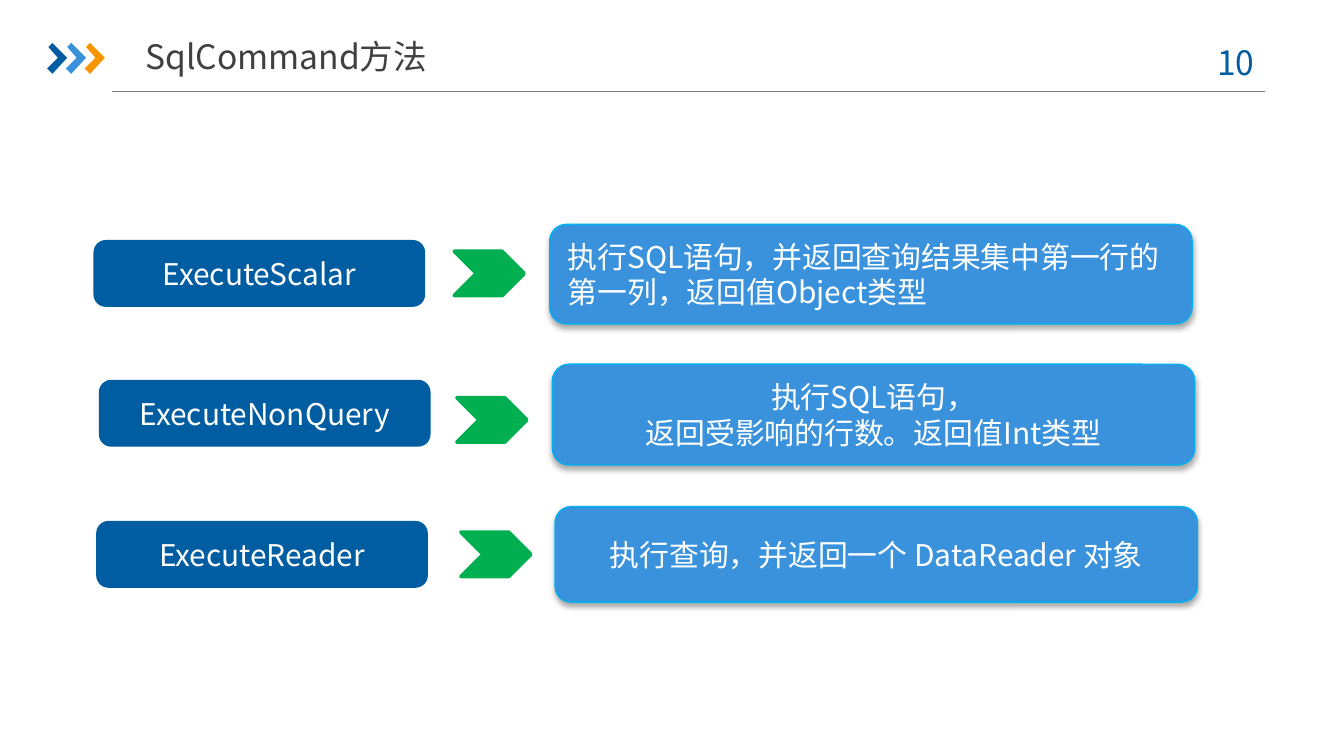
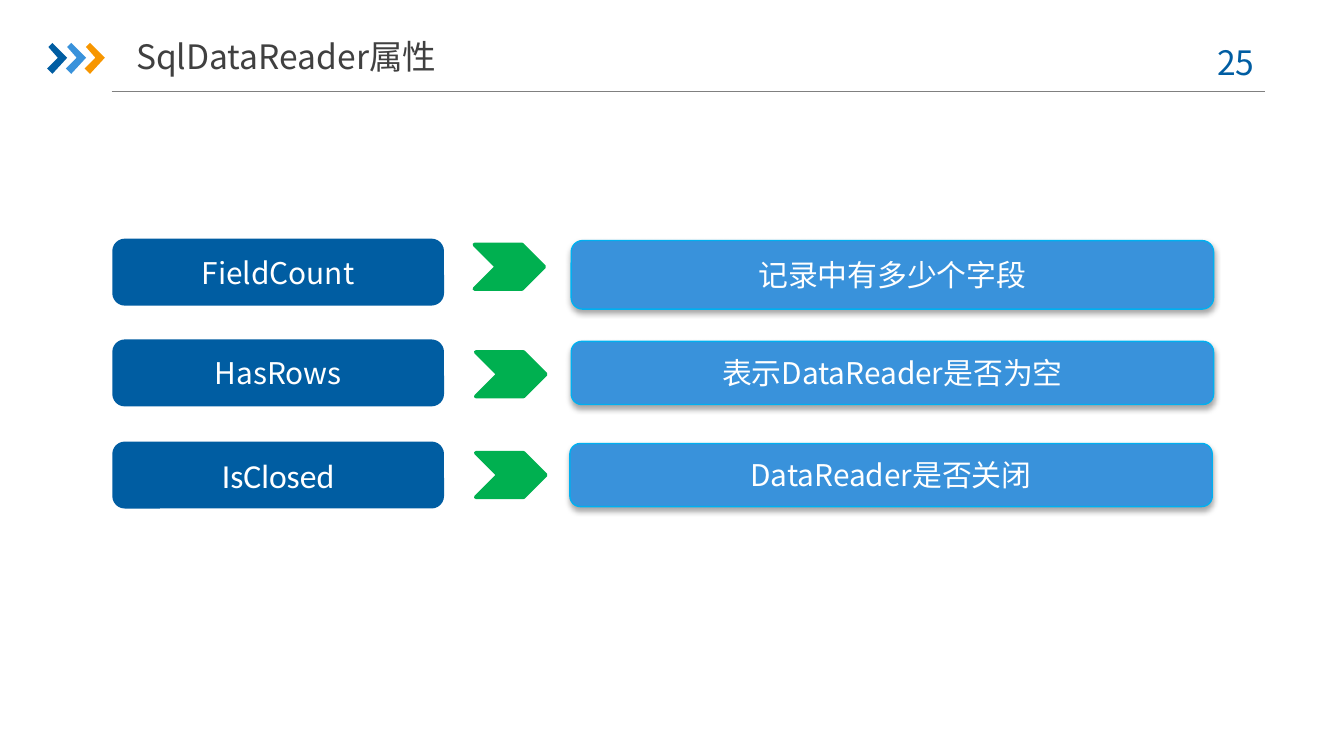
from lxml.etree import SubElement
from pptx import Presentation
from pptx.dml.color import RGBColor
from pptx.enum.shapes import MSO_CONNECTOR, MSO_SHAPE
from pptx.enum.text import MSO_ANCHOR, MSO_AUTO_SIZE, PP_ALIGN
from pptx.oxml.ns import qn
from pptx.util import Inches, Pt

CELL = 0.1
FONT = "Noto Sans CJK SC"
NAVY, BLUE, AMBER = "005DA2", "3992DB", "F79600"
CYAN, GREEN, WHITE, DARK, GREY = "00B0F0", "00B050", "FFFFFF", "404040", "808080"
MARK = [(1, 3), (4, 0), (15, 11), (4, 23), (0, 19), (8, 11)]

METHODS = [
    ("ExecuteScalar", "执行SQL语句，并返回查询结果集中第一行的第一列，返回值Object类型",
     (7.1, 18), (33.8, 18.7), (40.9, 16.7, 7.4), {"note": {"align": PP_ALIGN.LEFT}}),
    ("ExecuteNonQuery", "执行SQL语句，\n返回受影响的行数。返回值Int类型",
     (7.5, 28.4), (34, 29.6), (41.1, 27.1, 7.5), {}),
    ("ExecuteReader", "执行查询，并返回一个 DataReader 对象",
     (7.3, 38.9), (34.3, 39.6), (41.3, 37.7, 7.1), {}),
]
FIELDS = [
    ("FieldCount", "记录中有多少个字段",
     (8.5, 17.9), (35.3, 18.2), (42.5, 17.9, 5.1), {}),
    ("HasRows", "表示DataReader是否为空",
     (8.5, 25.4), (35.4, 26.2), (42.5, 25.4, 4.7), {}),
    ("IsClosed", "DataReader是否关闭",
     (8.5, 33), (35.4, 33.7), (42.4, 33, 4.7), {"key": {"size": 18, "font": "Calibri"}}),
]


def grid(*cells):
    """Turn grid cells into lengths."""
    return [Inches(cell * CELL) for cell in cells]


def tint(color, value):
    """Set a font or line colour from a hex string."""
    color.rgb = RGBColor.from_string(value)


def paint(shape, fill, line=None, width=1):
    """Give a shape a flat fill and an optional outline."""
    shape.shadow.inherit = False
    shape.fill.solid()
    tint(shape.fill.fore_color, fill)
    if line:
        tint(shape.line.color, line)
        shape.line.width = Pt(width)
    else:
        shape.line.fill.background()


def write(shape, text, size=16, color=WHITE, font=FONT, align=PP_ALIGN.CENTER,
          anchor=MSO_ANCHOR.MIDDLE, side=1):
    """Write formatted text, one paragraph a line."""
    frame = shape.text_frame
    frame.text = text
    frame.word_wrap = True
    frame.auto_size = MSO_AUTO_SIZE.NONE
    frame.vertical_anchor = anchor
    frame.margin_left, frame.margin_right = grid(side, side)
    frame.margin_top, frame.margin_bottom = grid(0.5, 0.5)
    for para in frame.paragraphs:
        para.alignment = align
        for run in para.runs:
            run.font.size = Pt(size)
            run.font.name = font
            tint(run.font.color, color)
            SubElement(run.font._element, qn("a:ea"), typeface=font)


def shade(shape):
    """Cast a soft shadow straight down."""
    effects = shape._element.spPr.find(qn("a:effectLst"))
    outer = SubElement(effects, qn("a:outerShdw"), blurRad=str(Pt(3.1)),
                       dist=str(Pt(1.8)), dir="5400000", rotWithShape="0")
    black = SubElement(outer, qn("a:srgbClr"), val="000000")
    SubElement(black, qn("a:alpha"), val="35000")


def block(slide, kind, box, fill, line, width):
    """Add a painted preset shape."""
    shape = slide.shapes.add_shape(kind, *grid(*box))
    paint(shape, fill, line, width)
    return shape


def logo(slide):
    """Draw the three angle marks before the title."""
    group = slide.shapes.add_group_shape()
    for index, color in enumerate((NAVY, BLUE, AMBER)):
        points = [(35 + 14 * index + x, 32 + y) for x, y in MARK]
        pen = group.shapes.build_freeform(*points[0], scale=Inches(0.01))
        pen.add_line_segments(points[1:], close=True)
        paint(pen.convert_to_shape(), color)


def head(slide, title, page):
    """Add the rule, marks, page number and title."""
    rule = slide.shapes.add_connector(MSO_CONNECTOR.STRAIGHT, *grid(8.3, 6.8, 94.1, 6.8))
    tint(rule.line.color, GREY)
    rule.line.width = Pt(0.75)
    SubElement(rule._element.spPr, qn("a:effectLst"))
    logo(slide)
    number = slide.shapes.add_textbox(*grid(88.6, 2.6, 7.3, 4))
    write(number, f"{page} ", size=18, color=NAVY, anchor=MSO_ANCHOR.TOP)
    name = slide.shapes.title
    name.left, name.top, name.width, name.height = grid(8.3, 2.1, 26, 4.2)
    write(name, title, size=18, color=DARK, side=0)


def entry(slide, key, note, spot, tip, card, style):
    """Add a name, an arrow and an explanation."""
    label = block(slide, MSO_SHAPE.ROUNDED_RECTANGLE, (*spot, 24.4, 4.7), NAVY, NAVY, 2)
    write(label, key, **style.get("key", {}))
    block(slide, MSO_SHAPE.CHEVRON, (*tip, 5.2, 3.3), GREEN, GREEN, 2)
    left, top, height = card
    panel = block(slide, MSO_SHAPE.ROUNDED_RECTANGLE, (left, top, 47.8, height),
                  BLUE, CYAN, 0.75)
    shade(panel)
    write(panel, note, **style.get("note", {}))


def main():
    """Build and save the deck."""
    deck = Presentation()
    deck.slide_width, deck.slide_height = grid(100, 56.25)
    pages = [("SqlCommand方法", 10, METHODS), ("SqlDataReader属性", 25, FIELDS)]
    for title, page, rows in pages:
        slide = deck.slides.add_slide(deck.slide_layouts[5])
        head(slide, title, page)
        for row in rows:
            entry(slide, *row)
    deck.save("out.pptx")


if __name__ == "__main__":
    main()
